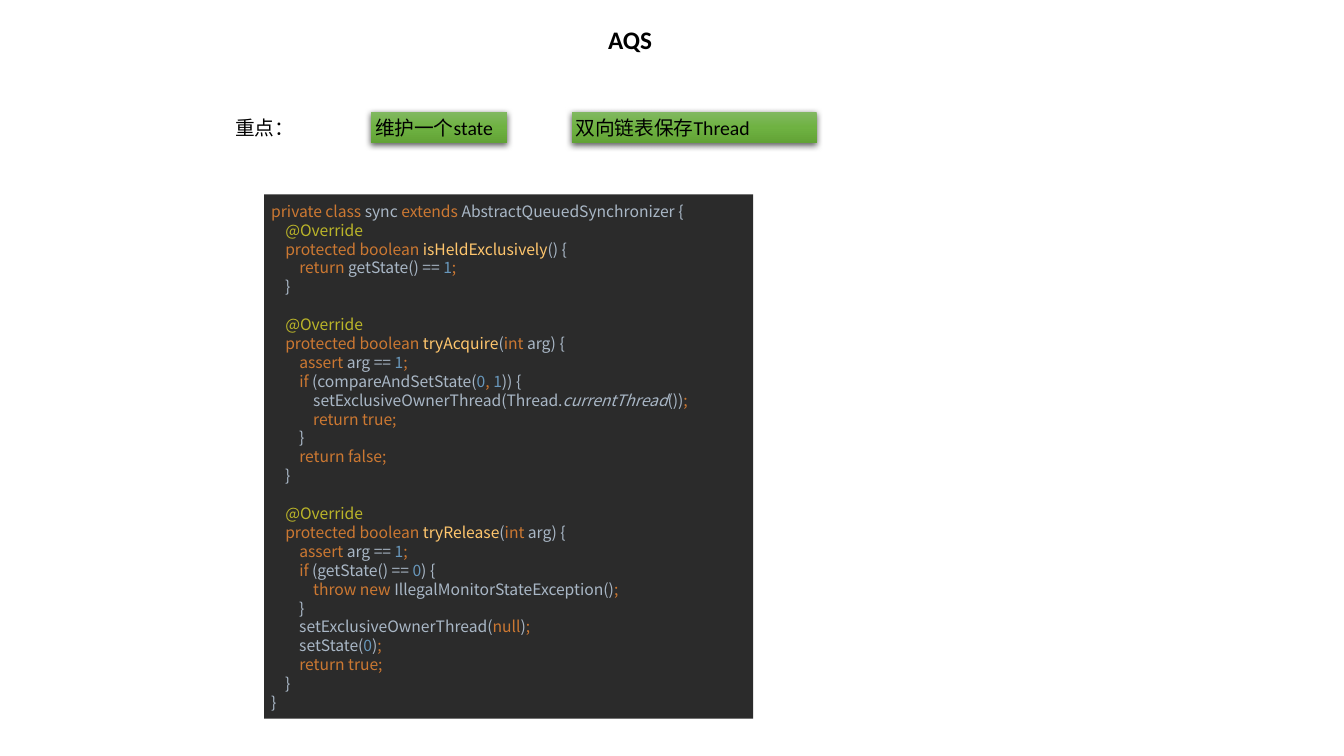
from copy import deepcopy
from itertools import groupby

from lxml import etree
from pptx import Presentation
from pptx import util as u
from pptx.dml.color import RGBColor
from pptx.enum import shapes, text
from pptx.oxml.ns import qn

KEYWORDS = set("private class extends protected boolean return int assert if true false "
               "throw new null".split())
DECLARED_METHODS = {"isHeldExclusively", "tryAcquire", "tryRelease"}
STATIC_METHODS = {"currentThread"}
PLAIN, ORANGE, YELLOW, OLIVE, BLUE = "A9B7C6", "CC7832", "FFC66D", "BBB529", "6897BB"
GREEN_STOPS = ((0, "81B861"), (0.5, "6FB242"), (1, "62A336"))
LABEL_MARGINS = (0.04, 0.04, 0.04, 0.04)

CODE = """private class sync extends AbstractQueuedSynchronizer {
    @Override
    protected boolean isHeldExclusively() {
        return getState() == 1;
    }

    @Override
    protected boolean tryAcquire(int arg) {
        assert arg == 1;
        if (compareAndSetState(0, 1)) {
            setExclusiveOwnerThread(Thread.currentThread());
            return true;
        }
        return false;
    }

    @Override
    protected boolean tryRelease(int arg) {
        assert arg == 1;
        if (getState() == 0) {
            throw new IllegalMonitorStateException();
        }
        setExclusiveOwnerThread(null);
        setState(0);
        return true;
    }
}"""


def color(value):
    return RGBColor.from_string(value)


def set_values(target, values):
    for name, value in values.items():
        setattr(target, name, value)


def set_frame(shape, margins, anchor=text.MSO_ANCHOR.MIDDLE, wrap=True):
    left, top, right, bottom = map(u.Inches, margins)
    set_values(shape.text_frame, {
        "margin_left": left, "margin_top": top, "margin_right": right,
        "margin_bottom": bottom, "vertical_anchor": anchor, "word_wrap": wrap,
    })
    return shape.text_frame.paragraphs[0]


def add_run(paragraph, content, size, font="Calibri", hue="000000", **style):
    run = paragraph.add_run()
    run.text = content
    set_values(run.font, {"name": font, "size": u.Pt(size), **style})
    run.font.color.rgb = color(hue)


def add_text(slide, box, content, size, margins, anchor, bold=False):
    shape = slide.shapes.add_textbox(*map(u.Inches, box))
    paragraph = set_frame(shape, margins, anchor, wrap=False)
    paragraph.alignment = text.PP_ALIGN.CENTER
    add_run(paragraph, content, size, bold=bold)


def add_rectangle(slide, box):
    shape = slide.shapes.add_shape(shapes.MSO_SHAPE.RECTANGLE, *map(u.Inches, box))
    shape.shadow.inherit = False
    shape.line.fill.background()
    return shape


def fill_gradient(shape, stops):
    """Fill from top to bottom with three stops."""
    shape.fill.gradient()
    shape.fill.gradient_angle = 270
    stop_list = shape._element.spPr.find(".//" + qn("a:gsLst"))
    stop_list.append(deepcopy(stop_list[0]))
    for stop, (position, hue) in zip(shape.fill.gradient_stops, stops):
        stop.position = position
        stop.color.rgb = color(hue)


def add_shadow(shape):
    effects = shape._element.spPr.find(qn("a:effectLst"))
    shadow = etree.SubElement(effects, qn("a:outerShdw"), blurRad=str(u.Pt(4.5)),
                              dist=str(u.Pt(1.5)), dir="5400000", rotWithShape="0")
    black = etree.SubElement(shadow, qn("a:srgbClr"), val="000000")
    etree.SubElement(black, qn("a:alpha"), val="63000")


def add_green_label(slide, box, content):
    shape = add_rectangle(slide, box)
    fill_gradient(shape, GREEN_STOPS)
    add_shadow(shape)
    paragraph = set_frame(shape, LABEL_MARGINS)
    paragraph.alignment = text.PP_ALIGN.LEFT
    add_run(paragraph, content, 14.1)


def character_kind(character):
    if character.isalnum() or character == "@":
        return "word"
    return "separator" if character in ";," else "other"


def token_color(token):
    if token in KEYWORDS or token in (";", ","):
        return ORANGE
    if token in DECLARED_METHODS:
        return YELLOW
    if token.startswith("@"):
        return OLIVE
    return BLUE if token.isdigit() else PLAIN


def add_code(slide, box, code):
    shape = add_rectangle(slide, box)
    shape.fill.solid()
    shape.fill.fore_color.rgb = color("2B2B2B")
    paragraph = set_frame(shape, (0.07, 0.04, 0.07, 0.04))
    set_values(paragraph, {"alignment": text.PP_ALIGN.LEFT, "line_spacing": u.Pt(13.5)})
    for number, line in enumerate(code.split("\n")):
        if number:
            paragraph.add_line_break()
        for _, characters in groupby(line, character_kind):
            token = "".join(characters)
            add_run(paragraph, token, 11.2, "Noto Sans CJK SC", token_color(token),
                    italic=token in STATIC_METHODS)


def main():
    presentation = Presentation()
    presentation.slide_width = u.Inches(13.33)
    presentation.slide_height = u.Inches(7.5)
    slide = presentation.slides.add_slide(presentation.slide_layouts[6])
    add_text(slide, (5.93, 0.19, 0.64, 0.4), "AQS", 18, (0.1, 0.05, 0.1, 0.05),
             text.MSO_ANCHOR.TOP, bold=True)
    add_green_label(slide, (3.68, 1.11, 1.35, 0.31), "维护一个state")
    add_green_label(slide, (5.67, 1.11, 2.43, 0.31), "双向链表保存Thread")
    add_code(slide, (2.62, 1.93, 4.85, 5.2), CODE)
    add_text(slide, (2.29, 1.11, 0.67, 0.31), "重点：", 14.1, LABEL_MARGINS,
             text.MSO_ANCHOR.MIDDLE)
    presentation.save("out.pptx")


if __name__ == "__main__":
    main()
